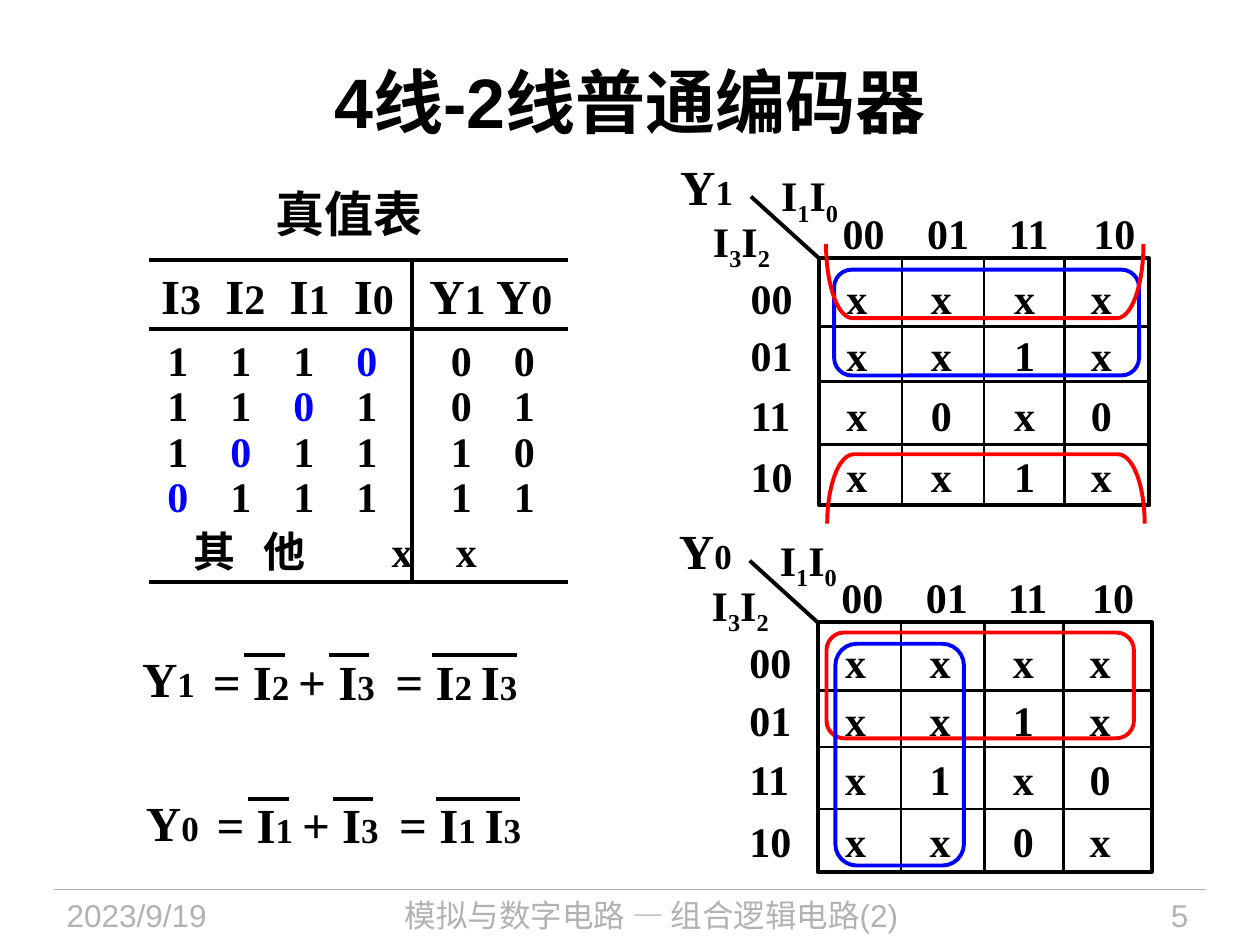
from dataclasses import dataclass

from lxml import etree
from pptx import Presentation
from pptx.dml.color import RGBColor
from pptx.enum.shapes import MSO_CONNECTOR, MSO_SHAPE
from pptx.enum.text import MSO_ANCHOR, MSO_AUTO_SIZE, PP_ALIGN
from pptx.oxml.ns import qn
from pptx.util import Inches, Pt

STRAIGHT = MSO_CONNECTOR.STRAIGHT
RECT = MSO_SHAPE.RECTANGLE
ROUND = MSO_SHAPE.ROUNDED_RECTANGLE
BRACKET = MSO_SHAPE.RIGHT_BRACKET
LEFT, CENTER, RIGHT = PP_ALIGN.LEFT, PP_ALIGN.CENTER, PP_ALIGN.RIGHT
GROW = MSO_AUTO_SIZE.SHAPE_TO_FIT_TEXT
MIDDLE = MSO_ANCHOR.MIDDLE
SERIF, SANS, HAN = "Times New Roman", "Arial", "Noto Sans CJK SC"
BLACK, BLUE, RED, GRAY = "000000", "0000FF", "FF0000", "B2B2B2"


@dataclass
class Run:
    text: str
    size: float = 24
    color: str = BLACK
    font: str = SERIF
    bold: bool = True
    base: int = 0


@dataclass
class Map:
    name: str
    left: float
    top: float
    width: float
    height: float
    cells: tuple[str, ...]


@dataclass
class Loop:
    kind: int
    left: float
    top: float
    width: float
    height: float
    color: str
    curve: float = 0.167
    turn: int = 0


CODES = ("00", "01", "11", "10")
COLS = (0.66, 1.3, 1.95)
ROWS = (0.54, 0.98, 1.48)
CELL_X = (0.12, 0.79, 1.45, 2.06)
CELL_Y = (0.06, 0.52, 0.99, 1.48)
HEAD_X = (0.09, 0.76, 1.41, 2.08)
MAPS = (
    Map("Y1", 6.5, 2.05, 2.62, 1.96, ("xxxx", "xx1x", "x0x0", "xx1x")),
    Map("Y0", 6.49, 4.94, 2.65, 1.98, ("xxxx", "xx1x", "x1x0", "xx0x")),
)
LOOPS = (
    Loop(ROUND, 6.62, 2.14, 2.42, 0.84, BLUE),
    Loop(BRACKET, 7.55, 2.62, 0.55, 2.52, RED, 0.383, 90),
    Loop(BRACKET, 7.52, 0.97, 0.59, 2.52, RED, 0.355, 270),
    Loop(ROUND, 6.56, 5.02, 2.44, 0.84, RED),
    Loop(ROUND, 6.63, 5.11, 1.02, 1.76, BLUE),
)
TRUTH = ("111000", "110101", "101110", "011111")


def paint(color: str) -> RGBColor:
    return RGBColor.from_string(color)


def fill_para(para, runs: list[Run], align=LEFT, tabs=(), indent: float = 0) -> None:
    para.alignment = align
    props = para._p.get_or_add_pPr()
    if indent:
        props.set("marL", str(Inches(indent)))
    if tabs:
        stops = etree.SubElement(props, qn("a:tabLst"))
        for tab in tabs:
            etree.SubElement(stops, qn("a:tab"), pos=str(Inches(tab)), algn="l")
    for item in runs:
        run = para.add_run()
        run.text = item.text
        style = {"name": item.font, "size": Pt(item.size), "bold": item.bold}
        for key, value in style.items():
            setattr(run.font, key, value)
        run.font.color.rgb = paint(item.color)
        rpr = run._r.get_or_add_rPr()
        if item.base:
            rpr.set("baseline", str(item.base * 1000))
        etree.SubElement(rpr, qn("a:ea"), typeface=HAN)


def add_text(slide, left: float, top: float, width: float, height: float,
             lines: list[list[Run]], align=LEFT, tabs=(), indent: float = 0,
             wrap: bool = False, grow: bool = True, space: float = 1) -> None:
    box = slide.shapes.add_textbox(Inches(left), Inches(top), Inches(width), Inches(height))
    frame = box.text_frame
    frame.word_wrap = wrap
    if grow:
        frame.auto_size = GROW
    for num, runs in enumerate(lines):
        para = frame.add_paragraph() if num else frame.paragraphs[0]
        para.line_spacing = space
        fill_para(para, runs, align, tabs, indent)


def add_line(slide, x1: float, y1: float, x2: float, y2: float,
             weight: float = 2.25, color: str = BLACK):
    line = slide.shapes.add_connector(STRAIGHT, Inches(x1), Inches(y1), Inches(x2), Inches(y2))
    line.line.width = Pt(weight)
    line.line.color.rgb = paint(color)
    etree.SubElement(line._element.spPr, qn("a:effectLst"))
    return line


def add_loop(slide, loop: Loop):
    shape = slide.shapes.add_shape(loop.kind, Inches(loop.left), Inches(loop.top),
                                   Inches(loop.width), Inches(loop.height))
    shape.shadow.inherit = False
    shape.fill.background()
    shape.line.width = Pt(2.25)
    shape.line.color.rgb = paint(loop.color)
    if loop.kind != RECT:
        shape.adjustments[0] = loop.curve
    if loop.turn:
        shape.rotation = loop.turn
        shape._element.spPr.xfrm.set("flipH", "1")
    return shape


def add_name(slide, name: str, left: float, top: float) -> None:
    add_text(slide, left, top, 0.62, 0.57, [[Run(name[0], 28), Run(name[1], 20)]])


def add_map(slide, grid: Map) -> None:
    x, y = grid.left, grid.top
    frame = add_loop(slide, Loop(RECT, x, y, grid.width, grid.height, BLACK))
    for num, (col, row) in enumerate(zip(COLS, ROWS)):
        down = add_line(slide, x + col, y, x + col, y + grid.height, 1.5)
        across = add_line(slide, x, y + row, x + grid.width, y + row, 1.5)
        if num == 1:
            for line, start, end in ((down, 0, 2), (across, 1, 3)):
                line.begin_connect(frame, start)
                line.end_connect(frame, end)
    add_line(slide, x, y, x - 0.54, y - 0.49)
    add_name(slide, grid.name, x - 1.2, y - 0.86)
    for pair, dx, dy in (("32", -0.94, -0.39), ("10", -0.4, -0.75)):
        runs = [run for sub in pair for run in (Run("I"), Run(sub, base=-25))]
        add_text(slide, x + dx, y + dy, 0.68, 0.5, [runs])
    for code, dx, dy, cells in zip(CODES, HEAD_X, CELL_Y, grid.cells):
        add_text(slide, x + dx, y - 0.45, 0.53, 0.5, [[Run(code)]])
        add_text(slide, x - 0.64, y + dy, 0.53, 0.5, [[Run(code)]])
        for mark, cell in zip(cells, CELL_X):
            add_text(slide, x + cell, y + dy, 0.37, 0.5, [[Run(mark)]])


def add_truth(slide) -> None:
    add_text(slide, 2.09, 1.41, 1.37, 0.57, [[Run("真值表", 28, font=SANS)]])
    heads = []
    for num, name in enumerate(("I3", "I2", "I1", "I0", "Y1", "Y0")):
        heads += [Run(("\t" if num else "") + name[0], 28), Run(name[1])]
    add_text(slide, 1.18, 2.06, 3.34, 0.57, [heads],
             tabs=(0.51, 1.02, 1.53, 2.13, 2.66), wrap=True)
    lines = [[Run(("\t" if num else "") + bit, color=BLUE if num < 4 and bit == "0" else BLACK)
              for num, bit in enumerate(bits)] for bits in TRUTH]
    add_text(slide, 1.23, 2.65, 3.26, 1.54, lines,
             tabs=(0.5, 1, 1.5, 2.25, 2.75), wrap=True, space=0.9)
    add_text(slide, 1.36, 4.12, 2.97, 0.5, [[Run("其\t他", font=HAN), Run("\tx\tx")]],
             tabs=(0.55, 1.57, 2.08), indent=0.08, wrap=True)
    for y in (2.06, 2.61, 4.62):
        add_line(slide, 1.18, y, 4.51, y)
    add_line(slide, 3.27, 2.06, 3.27, 4.62)


def add_sum(slide, name: str, sub: str, left: float, top: float) -> None:
    add_name(slide, name, left - 0.56, top - 0.02)
    start = [Run("= I", 28), Run(sub + " ", 20)]
    add_text(slide, left, top, 1.65, 0.57, [start + [Run("+ I", 28), Run("3", 20)]], wrap=True)
    add_text(slide, left + 1.45, top, 1.5, 0.57, [start + [Run("I", 28), Run("3", 20)]], wrap=True)
    for dx, width in ((0.35, 0.32), (1.02, 0.32), (1.84, 0.67)):
        add_line(slide, left + dx, top + 0.08, left + dx + width, top + 0.08)


def main() -> None:
    deck = Presentation()
    deck.slide_width, deck.slide_height = Inches(10), Inches(7.5)
    slide = deck.slides.add_slide(deck.slide_layouts[5])
    title = slide.shapes.title
    place = {"left": 0.5, "top": 0.17, "width": 9, "height": 1.25}
    for key, value in place.items():
        setattr(title, key, Inches(value))
    title.text_frame.vertical_anchor = MIDDLE
    fill_para(title.text_frame.paragraphs[0],
              [Run("4线-2线普通编码器", 40, font=SANS)], CENTER)
    add_line(slide, 0.43, 7.06, 9.57, 7.06, 0.75, GRAY)
    for left, width, text, align in (
        (0.43, 1.88, "2023/9/19", LEFT),
        (2.49, 5.36, "模拟与数字电路 — 组合逻辑电路(2)", CENTER),
        (8.2, 1.33, "5", RIGHT),
    ):
        add_text(slide, left, 7.06, width, 0.44, [[Run(text, 18, GRAY, SANS, False)]],
                 align, wrap=True, grow=False)
    add_truth(slide)
    add_sum(slide, "Y1", "2", 1.59, 5.12)
    add_sum(slide, "Y0", "1", 1.62, 6.26)
    for grid in MAPS:
        add_map(slide, grid)
    for loop in LOOPS:
        add_loop(slide, loop)
    deck.save("out.pptx")


if __name__ == "__main__":
    main()
